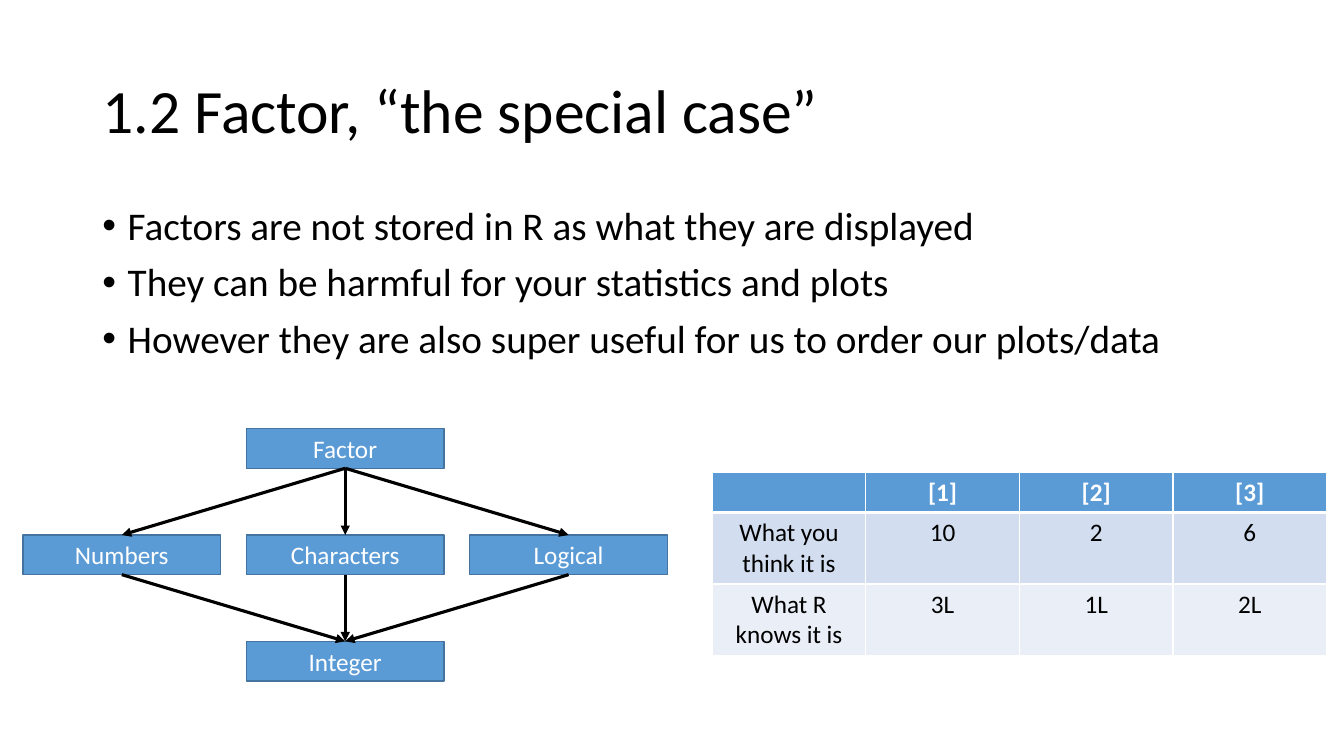
import pptx
import pptx.dml.color
import pptx.enum.shapes
import pptx.enum.text
import pptx.oxml
import pptx.oxml.ns
import pptx.util
from pptx.util import Cm, Pt

rgb = pptx.dml.color.RGBColor.from_string
qn = pptx.oxml.ns.qn
ALIGN = pptx.enum.text.PP_ALIGN
ANCHOR = pptx.enum.text.MSO_ANCHOR

THEME = {
    "font": "Calibri",
    "ink": rgb("000000"),
    "paper": rgb("FFFFFF"),
    "accent": rgb("5B9BD5"),
    "outline": rgb("43739E"),
    "bands": [rgb("5B9BD5"), rgb("D2DEEF"), rgb("EAEFF7")],
    "title": Pt(44),
    "body": Pt(28),
    "label": Pt(18),
}


def apply(target, formats):
    for name, value in formats.items():
        setattr(target, name, value)


def write(paragraph, text, size, color, bold=False, **layout):
    run = paragraph.add_run()
    run.text = text
    apply(run.font, {"name": THEME["font"], "size": size, "bold": bold})
    run.font.color.rgb = color
    apply(paragraph, layout)


deck = pptx.Presentation()
apply(deck, {"slide_width": Cm(33.87), "slide_height": Cm(19.05)})
slide = deck.slides.add_slide(deck.slide_layouts[5])

heading = slide.shapes.title
apply(heading, {"left": Cm(2.33), "top": Cm(1.01), "width": Cm(29.21), "height": Cm(3.68)})
heading.text_frame.vertical_anchor = ANCHOR.MIDDLE
write(heading.text_frame.paragraphs[0], "1.2 Factor, “the special case”",
      THEME["title"], THEME["ink"], alignment=ALIGN.LEFT, line_spacing=0.9)

points = slide.shapes.add_textbox(Cm(2.33), Cm(5.08), Cm(29.21), Cm(4.45)).text_frame
points.word_wrap = True
for index, point in enumerate([
    "Factors are not stored in R as what they are displayed",
    "They can be harmful for your statistics and plots",
    "However they are also super useful for us to order our plots/data",
]):
    paragraph = points.add_paragraph() if index else points.paragraphs[0]
    write(paragraph, point, THEME["body"], THEME["ink"],
          alignment=ALIGN.LEFT, line_spacing=0.9, space_before=Pt(10))
    properties = paragraph._p.get_or_add_pPr()
    properties.set("marL", str(Cm(0.64)))
    properties.set("indent", str(-Cm(0.64)))
    properties.append(pptx.oxml.parse_xml(
        f'<a:buFont {pptx.oxml.ns.nsdecls("a")} typeface="Arial"/>'))
    properties.append(pptx.oxml.parse_xml(
        f'<a:buChar {pptx.oxml.ns.nsdecls("a")} char="•"/>'))

type_grid = {
    "Factor": (1, 0),
    "Numbers": (0, 1),
    "Characters": (1, 1),
    "Logical": (2, 1),
    "Integer": (1, 2),
}
type_boxes = {}
for label, (column, row) in type_grid.items():
    box = slide.shapes.add_shape(
        pptx.enum.shapes.MSO_SHAPE.RECTANGLE,
        Cm(0.58 + 5.63 * column), Cm(10.8 + 2.68 * row), Cm(4.98), Cm(1))
    box.shadow.inherit = False
    box.fill.solid()
    box.fill.fore_color.rgb = THEME["accent"]
    box.line.color.rgb = THEME["outline"]
    box.line.width = Pt(1)
    box.text_frame.vertical_anchor = ANCHOR.MIDDLE
    write(box.text_frame.paragraphs[0], label, THEME["label"], THEME["paper"],
          alignment=ALIGN.CENTER)
    type_boxes[label] = box

BOTTOM, TOP = 2, 0
for middle in ["Numbers", "Characters", "Logical"]:
    for source, target in [("Factor", middle), (middle, "Integer")]:
        arrow = slide.shapes.add_connector(
            pptx.enum.shapes.MSO_CONNECTOR.STRAIGHT, 0, 0, 0, 0)
        arrow.begin_connect(type_boxes[source], BOTTOM)
        arrow.end_connect(type_boxes[target], TOP)
        arrow.line.color.rgb = THEME["ink"]
        arrow.line.width = Pt(2.25)
        stroke = arrow._element.spPr.find(qn("a:ln"))
        stroke.append(pptx.oxml.parse_xml(
            f'<a:tailEnd {pptx.oxml.ns.nsdecls("a")} type="triangle"/>'))
        arrow._element.spPr.append(pptx.oxml.parse_xml(
            f'<a:effectLst {pptx.oxml.ns.nsdecls("a")}/>'))

factor_values = [
    ["", "[1]", "[2]", "[3]"],
    ["What you think it is", "10", "2", "6"],
    ["What R knows it is", "3L", "1L", "2L"],
]
comparison = slide.shapes.add_table(
    3, 4, Cm(17.95), Cm(11.9), Cm(15.48), Cm(4.6)).table
for column in comparison.columns:
    column.width = Cm(3.87)
for row, height in zip(comparison.rows, [1, 1.8, 1.8]):
    row.height = Cm(height)

for row, values in enumerate(factor_values):
    is_header = row == 0
    for column, value in enumerate(values):
        cell = comparison.cell(row, column)
        for side in "LRTB":
            heavy = (is_header and side == "B") or (row == 1 and side == "T")
            cell._tc.get_or_add_tcPr().append(pptx.oxml.parse_xml(
                f'<a:ln{side} {pptx.oxml.ns.nsdecls("a")} w="{Pt(3 if heavy else 1)}">'
                f'<a:solidFill><a:srgbClr val="{THEME["paper"]}"/></a:solidFill>'
                f'</a:ln{side}>'))
        cell.fill.solid()
        cell.fill.fore_color.rgb = THEME["bands"][row]
        if value:
            write(cell.text_frame.paragraphs[0], value, THEME["label"],
                  THEME["paper"] if is_header else THEME["ink"],
                  bold=is_header, alignment=ALIGN.CENTER)

deck.save("out.pptx")
